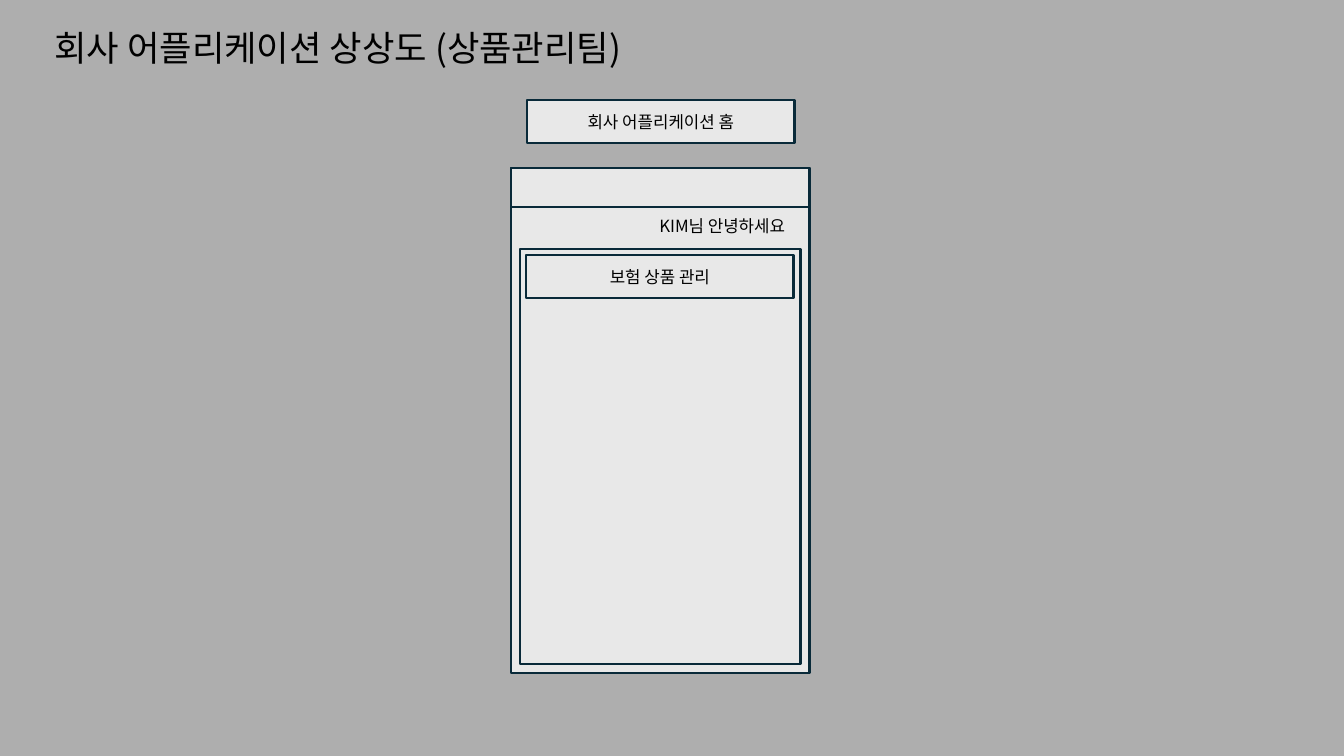
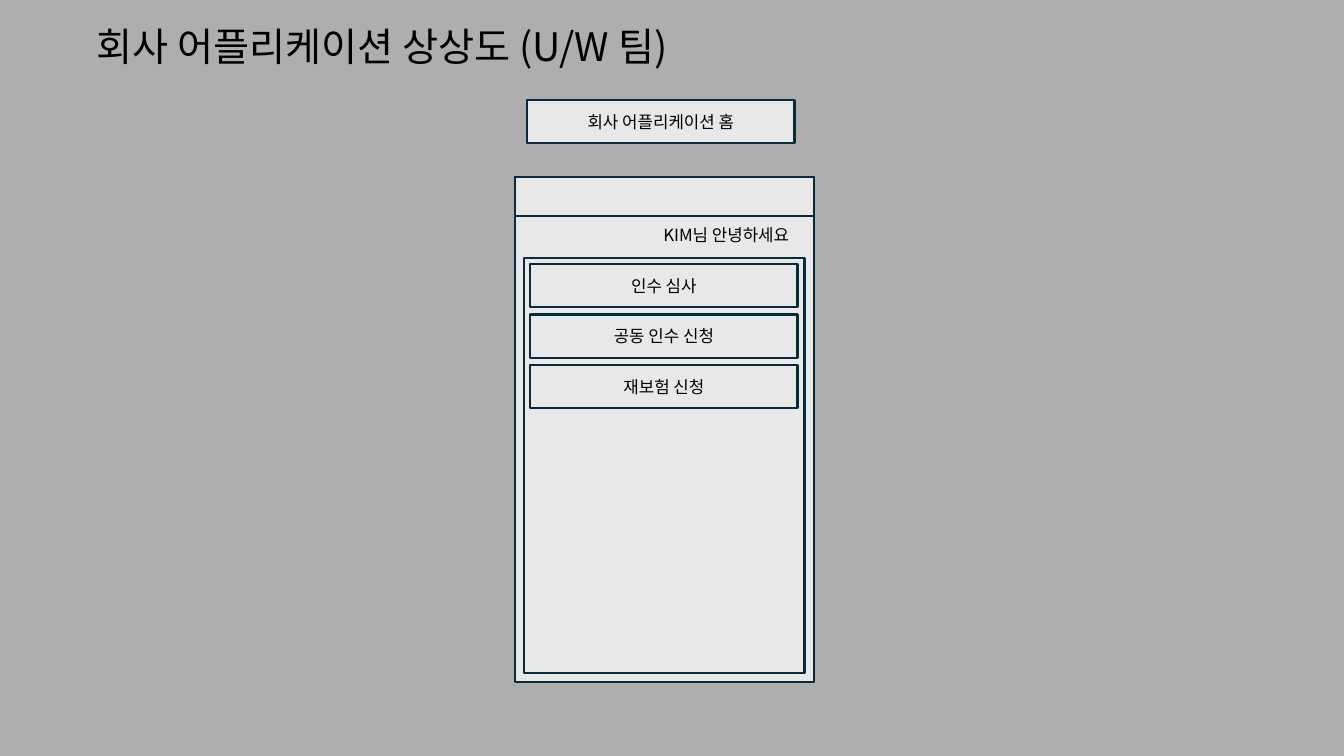
from pptx import Presentation
from pptx.dml.color import RGBColor
from pptx.enum.shapes import MSO_SHAPE
from pptx.enum.text import MSO_ANCHOR, MSO_AUTO_SIZE, PP_ALIGN
from pptx.oxml.ns import qn
from pptx.util import Inches, Pt
from lxml.etree import SubElement

# Content
HOME = "회사 어플리케이션 홈"
GREETING = "KIM님 안녕하세요"
SCREENS = [
    {"title": "회사 어플리케이션 상상도 (상품관리팀)", "title_width": 6.42,
     "title_size": 25.2, "phone": (5.07, 1.67), "menu": ["보험 상품 관리"]},
    {"title": "회사 어플리케이션 상상도 (U/W 팀)", "title_width": 7.3,
     "title_size": 28, "phone": (5.11, 1.76),
     "menu": ["인수 심사", "공동 인수 신청", "재보험 신청"]},
]

# Shared style
FONT = "Noto Sans CJK KR"
BACKGROUND, PANEL, OUTLINE, INK = "AEAEAE", "E8E8E8", "092A39", "000000"
BUTTON_WIDTH, BUTTON_HEIGHT, BUTTON_STEP = 2.65, 0.43, 0.5
PHONE_WIDTH, PHONE_HEIGHT, STATUS_HEIGHT = 2.96, 5.01, 0.38


def color(code):
    return RGBColor.from_string(code)


def write(shape, text, size=12, align=PP_ALIGN.CENTER):
    shape.text_frame.text = text
    para = shape.text_frame.paragraphs[0]
    para.alignment = align
    for span in para.runs:
        span.font.size = Pt(size)
        span.font.color.rgb = color(INK)
        span.font.name = FONT
        SubElement(span.font._element, qn("a:ea"), typeface=FONT)
    return para


def add_panel(shapes, left, top, width, height, text=None):
    panel = shapes.add_shape(MSO_SHAPE.RECTANGLE, Inches(left), Inches(top),
                             Inches(width), Inches(height))
    panel.shadow.inherit = False
    panel.fill.solid()
    panel.fill.fore_color.rgb = color(PANEL)
    panel.line.color.rgb = color(OUTLINE)
    panel.line.width = Pt(1.5)
    if text:
        panel.text_frame.vertical_anchor = MSO_ANCHOR.MIDDLE
        write(panel, text)


def add_button(shapes, left, top, text):
    add_panel(shapes, left, top, BUTTON_WIDTH, BUTTON_HEIGHT, text)


def add_title(slide, text, width, size):
    title = slide.shapes.title
    title.left, title.top = Inches(0.14), Inches(0.13)
    title.width, title.height = Inches(width), Inches(0.61)
    title.text_frame.auto_size = MSO_AUTO_SIZE.NONE
    title.text_frame.vertical_anchor = MSO_ANCHOR.BOTTOM
    write(title, text, size).line_spacing = 0.9


def add_phone(slide, left, top, menu):
    # Phone body with its status bar
    body = slide.shapes.add_group_shape()
    for height in (PHONE_HEIGHT, STATUS_HEIGHT):
        add_panel(body.shapes, left, top, PHONE_WIDTH, height)

    # Menu area and greeting
    add_panel(slide.shapes, left + 0.09, top + 0.8, 2.78, 4.12)
    greeting = slide.shapes.add_textbox(Inches(left + 1.37), Inches(top + 0.42),
                                        Inches(1.61), Inches(0.3))
    greeting.text_frame.word_wrap = True
    write(greeting, GREETING, align=PP_ALIGN.LEFT)

    # Menu buttons
    for row, label in enumerate(menu):
        add_button(slide.shapes, left + 0.15, top + 0.86 + row * BUTTON_STEP, label)


def main():
    deck = Presentation()
    deck.slide_width, deck.slide_height = Inches(13.33), Inches(7.5)
    fill = deck.slide_master.background.fill
    fill.solid()
    fill.fore_color.rgb = color(BACKGROUND)
    title_only = deck.slide_layouts.get_by_name("Title Only")
    for screen in SCREENS:
        slide = deck.slides.add_slide(title_only)
        add_title(slide, screen["title"], screen["title_width"], screen["title_size"])
        add_button(slide.shapes, 5.23, 0.99, HOME)
        add_phone(slide, *screen["phone"], screen["menu"])
    deck.save("out.pptx")


if __name__ == "__main__":
    main()
